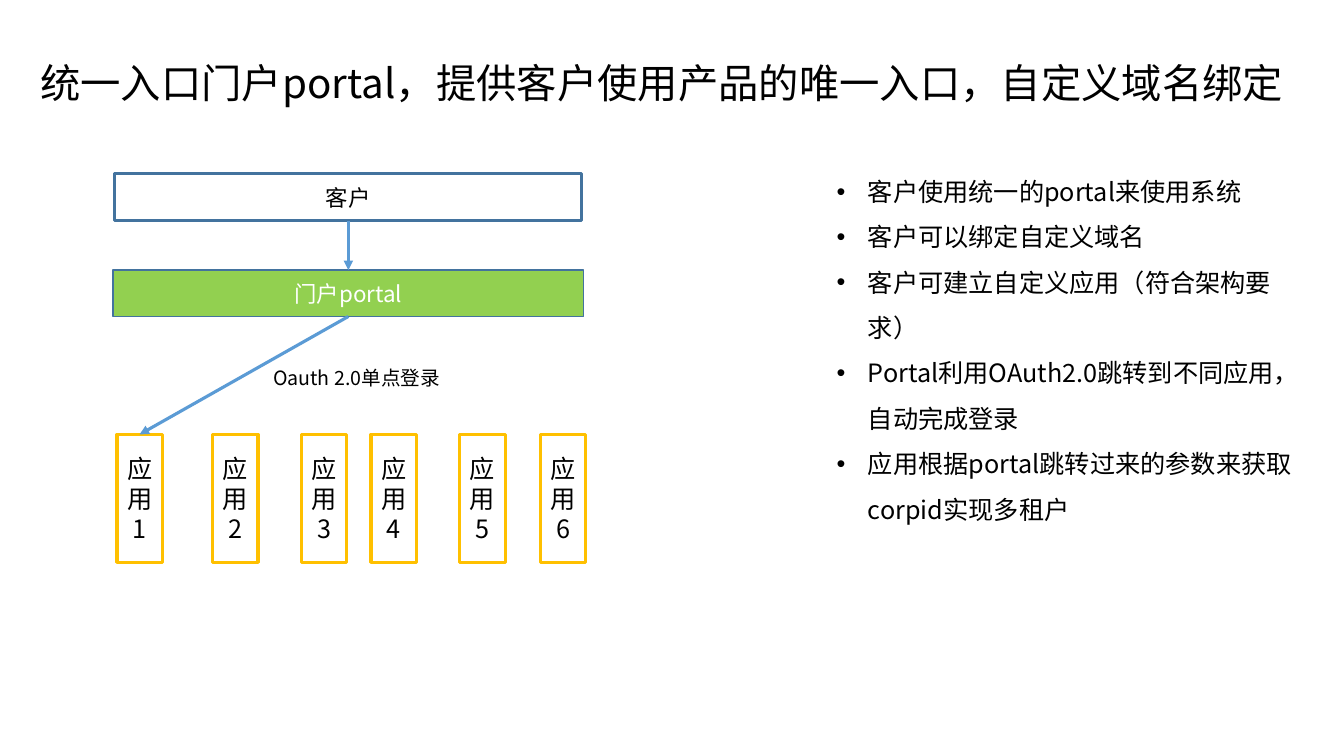
from dataclasses import dataclass

import pptx
import pptx.dml.color
import pptx.enum.shapes
import pptx.enum.text
import pptx.oxml.ns
import pptx.util
from lxml import etree

Inches = pptx.util.Inches
Pt = pptx.util.Pt
qn = pptx.oxml.ns.qn
MSO_ANCHOR = pptx.enum.text.MSO_ANCHOR
PP_ALIGN = pptx.enum.text.PP_ALIGN
MSO_AUTO_SIZE = pptx.enum.text.MSO_AUTO_SIZE
BOTTOM_SITE, TOP_SITE = 2, 0


@dataclass(frozen=True)
class Theme:
    font: str = "Noto Sans CJK SC"
    ink: str = "000000"
    white: str = "FFFFFF"
    portal: str = "92D050"
    frame: str = "43739E"
    app: str = "FFC000"
    arrow: str = "5B9BD5"
    title_size: float = 28.8
    body_size: float = 18
    layer_size: float = 16
    note_size: float = 14
    thin: float = 1
    thick: float = 2.25


THEME = Theme()


def rgb(value):
    return pptx.dml.color.RGBColor.from_string(value)


def add_run(paragraph, text, size, color=THEME.ink):
    run = paragraph.add_run()
    run.text = text
    run.font.size = Pt(size)
    run.font.name = THEME.font
    run.font.color.rgb = rgb(color)
    east_asian = etree.SubElement(run.font._element, qn("a:ea"))
    east_asian.set("typeface", THEME.font)


def add_box(slide, box, label, size, outline, weight, fill=None, color=THEME.ink):
    shape = slide.shapes.add_shape(
        pptx.enum.shapes.MSO_SHAPE.RECTANGLE, *map(Inches, box))
    shape.shadow.inherit = False
    if fill:
        shape.fill.solid()
        shape.fill.fore_color.rgb = rgb(fill)
    else:
        shape.fill.background()
    shape.line.color.rgb = rgb(outline)
    shape.line.width = Pt(weight)
    frame = shape.text_frame
    frame.word_wrap = True
    frame.vertical_anchor = MSO_ANCHOR.MIDDLE
    frame.paragraphs[0].alignment = PP_ALIGN.CENTER
    add_run(frame.paragraphs[0], label, size, color)
    return shape


def add_arrow(slide, upper, lower):
    arrow = slide.shapes.add_connector(
        pptx.enum.shapes.MSO_CONNECTOR.STRAIGHT, 0, 0, 0, 0)
    arrow.begin_connect(upper, BOTTOM_SITE)
    arrow.end_connect(lower, TOP_SITE)
    arrow.line.color.rgb = rgb(THEME.arrow)
    arrow.line.width = Pt(THEME.thick)
    etree.SubElement(arrow.line._get_or_add_ln(), qn("a:tailEnd")).set("type", "triangle")
    etree.SubElement(arrow._element.spPr, qn("a:effectLst"))


def add_text_frame(slide, box):
    frame = slide.shapes.add_textbox(*map(Inches, box)).text_frame
    frame.word_wrap = True
    frame.auto_size = MSO_AUTO_SIZE.SHAPE_TO_FIT_TEXT
    return frame


def place_title(slide, box, text):
    title = slide.shapes.title
    title.left, title.top, title.width, title.height = map(Inches, box)
    frame = title.text_frame
    frame.auto_size = MSO_AUTO_SIZE.NONE
    frame.vertical_anchor = MSO_ANCHOR.MIDDLE
    heading = frame.paragraphs[0]
    heading.alignment = PP_ALIGN.LEFT
    heading.line_spacing = 2.0
    add_run(heading, text, THEME.title_size)


def draw_architecture(slide, box):
    left, top, width, height = box
    app_width, app_height = 0.45, 1.27
    app_top = top + height - app_height
    app_offsets = (0.04, 0.99, 1.87, 2.56, 3.44, 4.24)

    portal = add_box(slide, (left, top + 0.96, width, 0.46), "门户portal",
                     THEME.layer_size, THEME.frame, THEME.thin, THEME.portal, THEME.white)
    customer = add_box(slide, (left + 0.02, top, width - 0.04, 0.47), "客户",
                       THEME.layer_size, THEME.frame, THEME.thick)
    apps = [
        add_box(slide, (left + offset, app_top, app_width, app_height), f"应用{number}",
                THEME.body_size, THEME.app, THEME.thick)
        for number, offset in enumerate(app_offsets, 1)
    ]
    add_arrow(slide, customer, portal)
    add_arrow(slide, portal, apps[0])

    sign_on = add_text_frame(slide, (left + 1.49, top + 1.86, 2.01, 0.34))
    add_run(sign_on.paragraphs[0], "Oauth 2.0单点登录", THEME.note_size)


def write_features(slide, box, features):
    frame = add_text_frame(slide, box)
    for index, feature in enumerate(features):
        paragraph = frame.add_paragraph() if index else frame.paragraphs[0]
        paragraph.line_spacing = 1.5
        properties = paragraph._p.get_or_add_pPr()
        properties.set("marL", str(Inches(0.31)))
        properties.set("indent", str(-Inches(0.31)))
        etree.SubElement(properties, qn("a:buFont")).set("typeface", "Arial")
        etree.SubElement(properties, qn("a:buChar")).set("char", "•")
        add_run(paragraph, feature, THEME.body_size)


def build_portal_slide(deck):
    slide = deck.slides.add_slide(deck.slide_layouts.get_by_name("Title Only"))
    place_title(slide, (0.3, 0.1, 13.03, 0.95),
                "统一入口门户portal，提供客户使用产品的唯一入口，自定义域名绑定")
    draw_architecture(slide, (1.12, 1.72, 4.67, 3.86))
    write_features(slide, (8.2, 1.55, 4.83, 3.74), (
        "客户使用统一的portal来使用系统",
        "客户可以绑定自定义域名",
        "客户可建立自定义应用（符合架构要求）",
        "Portal利用OAuth2.0跳转到不同应用，自动完成登录",
        "应用根据portal跳转过来的参数来获取corpid实现多租户",
    ))


def main():
    deck = pptx.Presentation()
    deck.slide_width, deck.slide_height = Inches(13.33), Inches(7.5)
    build_portal_slide(deck)
    deck.save("out.pptx")


if __name__ == "__main__":
    main()
